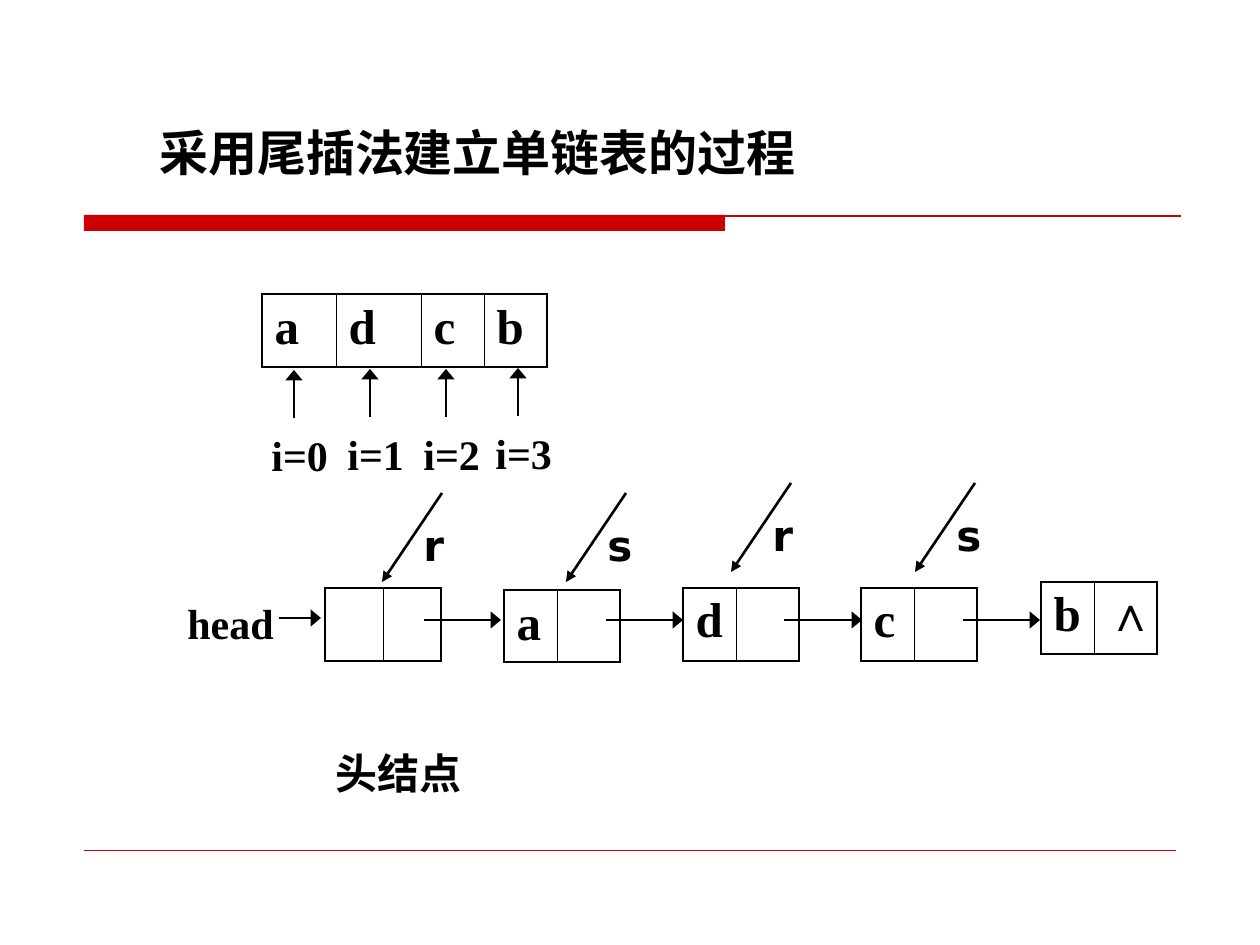
from dataclasses import dataclass
from itertools import accumulate

from lxml import etree
from pptx import Presentation
from pptx.dml.color import RGBColor
from pptx.enum.shapes import MSO_CONNECTOR, MSO_SHAPE
from pptx.enum.text import MSO_AUTO_SIZE
from pptx.oxml.ns import qn
from pptx.util import Emu, Pt

STRAIGHT = MSO_CONNECTOR.STRAIGHT
RECTANGLE = MSO_SHAPE.RECTANGLE
FIT_TEXT = MSO_AUTO_SIZE.SHAPE_TO_FIT_TEXT
SCALE = 914400 / 126
COLORS = {"ink": "000000", "accent": "CC0000"}
SERIF, SANS = "Times New Roman", "DejaVu Sans"
OUTER, INNER = 1.08, 0.45
LINK_Y = 620


@dataclass
class Cells:
    left: int
    top: int
    height: int
    widths: list[int]
    values: list[str]


@dataclass
class Label:
    text: str
    left: int
    top: int
    width: int
    height: int = 63
    size: int = 24
    font: str = SERIF
    wrap: bool = True


@dataclass
class Line:
    start: tuple[int, int]
    end: tuple[int, int]
    weight: float = 0.75
    color: str = "ink"
    head_width: str = ""


@dataclass
class Pointer:
    name: str
    left: int
    top: int


NODE_WIDTHS = [53, 63]
TABLES = [
    Cells(262, 294, 73, [74, 85, 63, 63], ["a", "d", "c", "b"]),
    Cells(325, 588, 73, [58, 58], ["", ""]),
    Cells(504, 590, 72, NODE_WIDTHS, ["a", ""]),
    Cells(683, 588, 73, NODE_WIDTHS, ["d", ""]),
    Cells(861, 588, 73, NODE_WIDTHS, ["c", ""]),
    Cells(1041, 582, 72, NODE_WIDTHS, ["b", "∧"]),
]
LABELS = [
    Label("采用尾插法建立单链表的过程", 147, 116, 721, 72, 28, SANS),
    Label("head", 175, 591, 116),
    Label("头结点", 323, 741, 169, font=SANS),
]
INDEX_TIPS = [(294, 370), (370, 369), (446, 369), (518, 368)]
LINKS = [(424, 501), (606, 683), (784, 862), (963, 1040)]
POINTERS = [
    Pointer("r", 442, 493),
    Pointer("s", 626, 493),
    Pointer("r", 791, 483),
    Pointer("s", 975, 483),
]


def px(length: int) -> Emu:
    return Emu(round(length * SCALE))


def rgb(name: str) -> RGBColor:
    return RGBColor.from_string(COLORS[name])


def format_text(frame, size: int, font: str) -> None:
    for para in frame.paragraphs:
        for span in para.runs:
            span.font.size = Pt(size)
            span.font.bold = True
            span.font.color.rgb = rgb("ink")
            span.font.name = font
            properties = span._r.get_or_add_rPr()
            etree.SubElement(properties, qn("a:ea"), typeface=font)


def draw_label(shapes, label: Label) -> None:
    box = shapes.add_textbox(
        px(label.left), px(label.top), px(label.width), px(label.height)
    )
    frame = box.text_frame
    frame.word_wrap = label.wrap
    frame.auto_size = FIT_TEXT
    frame.text = label.text
    format_text(frame, label.size, label.font)


def draw_line(shapes, line: Line) -> None:
    connector = shapes.add_connector(
        STRAIGHT, *(px(value) for value in line.start + line.end)
    )
    connector.line.color.rgb = rgb(line.color)
    connector.line.width = Pt(line.weight)
    if line.head_width:
        etree.SubElement(
            connector.line._get_or_add_ln(), qn("a:tailEnd"),
            type="triangle", w=line.head_width, len="med",
        )
    etree.SubElement(connector._element.spPr, qn("a:effectLst"))


def draw_border(cell, side: str, weight: float) -> None:
    border = etree.SubElement(
        cell._tc.get_or_add_tcPr(), qn(f"a:{side}"), w=str(Pt(weight))
    )
    fill = etree.SubElement(border, qn("a:solidFill"))
    etree.SubElement(fill, qn("a:srgbClr"), val=COLORS["ink"])


def draw_cells(shapes, cells: Cells) -> None:
    count = len(cells.widths)
    table = shapes.add_table(
        1, count, px(cells.left), px(cells.top),
        px(sum(cells.widths)), px(cells.height),
    ).table
    table.first_row = False
    table.horz_banding = False
    table.rows[0].height = px(cells.height)
    edges = [0, *accumulate(cells.widths)]
    for index, value in enumerate(cells.values):
        table.columns[index].width = px(edges[index + 1]) - px(edges[index])
        cell = table.cell(0, index)
        draw_border(cell, "lnL", OUTER if index == 0 else INNER)
        draw_border(cell, "lnR", OUTER if index == count - 1 else INNER)
        draw_border(cell, "lnT", OUTER)
        draw_border(cell, "lnB", OUTER)
        cell.fill.background()
        if value:
            cell.text_frame.text = value
            format_text(cell.text_frame, 28, SERIF)


def draw_index(shapes, number: int, tip: tuple[int, int]) -> None:
    x, y = tip
    draw_line(shapes, Line((x, y + 48), tip, head_width="lg"))
    draw_label(shapes, Label(f"i={number}", x - 35, y + 53, 84))


def draw_pointer(shapes, pointer: Pointer) -> None:
    group = shapes.add_group_shape().shapes
    x, y = pointer.left, pointer.top
    draw_line(group, Line((x, y), (x - 60, y + 89), 1.5, head_width="med"))
    draw_label(
        group, Label(pointer.name, x - 31, y + 20, 45, font=SANS, wrap=False)
    )


def draw_rules(shapes) -> None:
    bar = shapes.add_shape(RECTANGLE, px(84), px(215), px(641), px(16))
    bar.shadow.inherit = False
    bar.fill.solid()
    bar.fill.fore_color.rgb = rgb("accent")
    bar.line.fill.background()
    draw_line(shapes, Line((84, 216), (1181, 216), color="accent"))
    draw_line(shapes, Line((84, 850), (1176, 850), 0.25, "accent"))


def main() -> None:
    deck = Presentation()
    deck.slide_width, deck.slide_height = px(1260), px(945)
    shapes = deck.slides.add_slide(deck.slide_layouts[6]).shapes
    draw_rules(shapes)
    for cells in TABLES:
        draw_cells(shapes, cells)
    for number, tip in enumerate(INDEX_TIPS):
        draw_index(shapes, number, tip)
    draw_line(shapes, Line((279, 618), (321, 618), head_width="lg"))
    for start, end in LINKS:
        draw_line(shapes, Line((start, LINK_Y), (end, LINK_Y), head_width="lg"))
    for label in LABELS:
        draw_label(shapes, label)
    for pointer in POINTERS:
        draw_pointer(shapes, pointer)
    deck.save("out.pptx")


if __name__ == "__main__":
    main()
